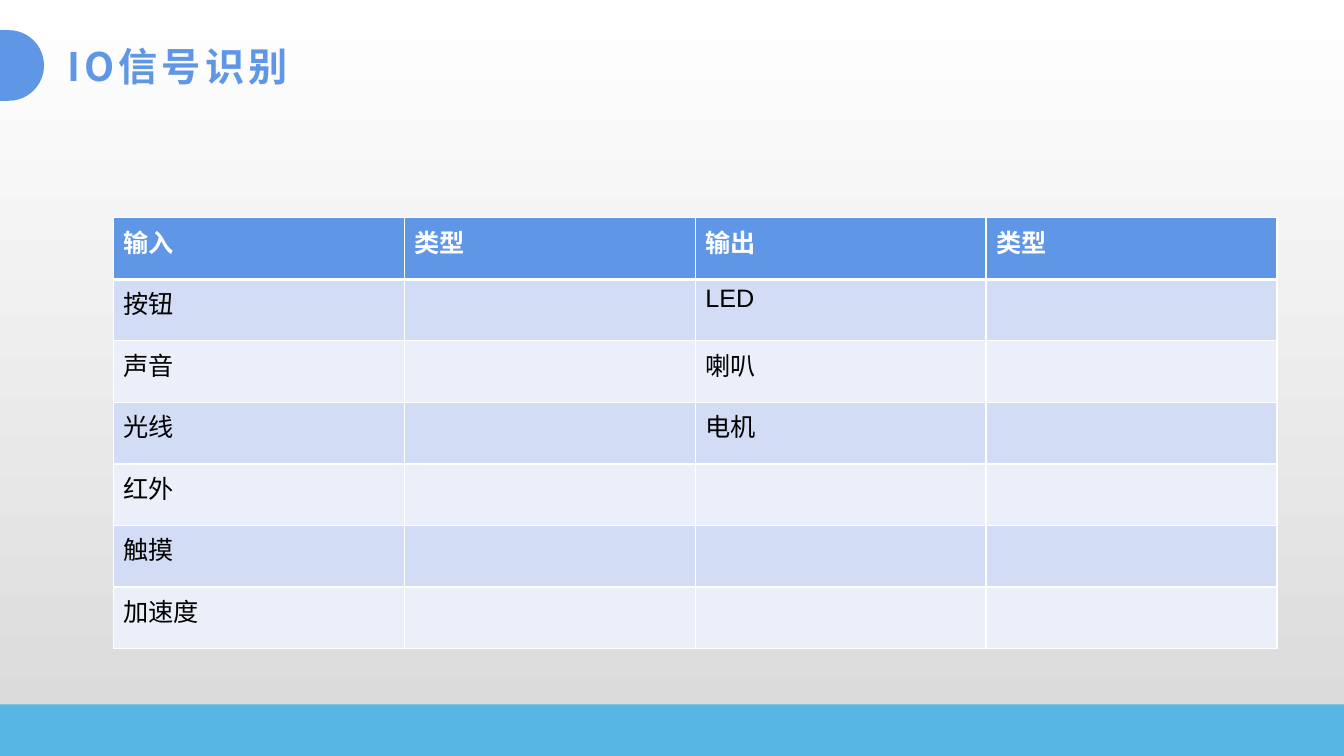
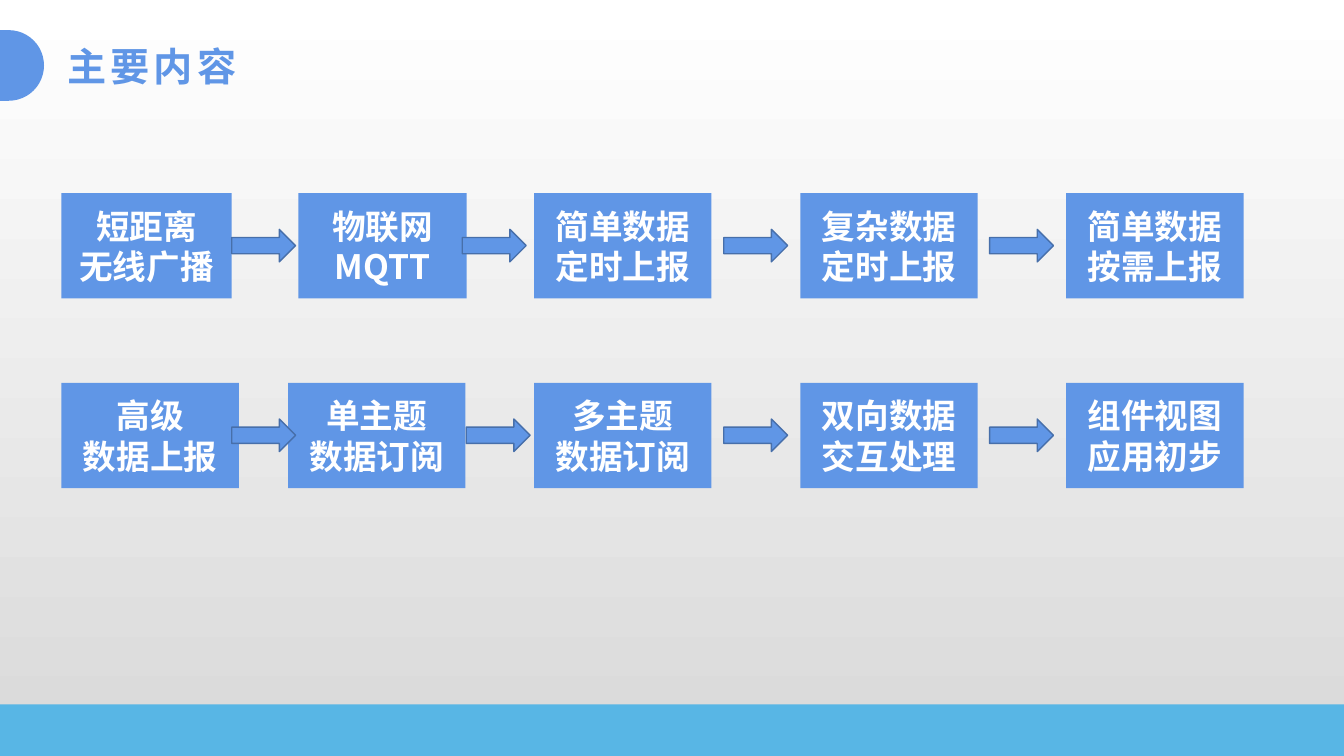
from lxml.etree import SubElement
from pptx import Presentation
from pptx.dml.color import RGBColor
from pptx.enum.shapes import MSO_SHAPE
from pptx.enum.text import MSO_ANCHOR, PP_ALIGN
from pptx.oxml import parse_xml
from pptx.oxml.ns import nsdecls, qn
from pptx.util import Cm, Pt

BLUE = RGBColor(0x60, 0x96, 0xE6)
DARK_BLUE = RGBColor(0x47, 0x6F, 0xAA)
SKY = RGBColor(0x58, 0xB6, 0xE5)
BAND = RGBColor(0xD2, 0xDD, 0xF5)
PALE_BAND = RGBColor(0xEA, 0xEF, 0xFA)
GREY = RGBColor(0xD9, 0xD9, 0xD9)
WHITE = RGBColor(0xFF, 0xFF, 0xFF)
BLACK = RGBColor(0x00, 0x00, 0x00)

SIGNALS = [
    ["输入", "类型", "输出", "类型"],
    ["按钮", "", "LED", ""],
    ["声音", "", "喇叭", ""],
    ["光线", "", "电机", ""],
    ["红外", "", "", ""],
    ["触摸", "", "", ""],
    ["加速度", "", "", ""],
]

STEP_WIDTH = 4.47
COMMON_STEPS = [(13.46, STEP_WIDTH), (20.17, STEP_WIDTH), (26.87, STEP_WIDTH)]
COMMON_ARROWS = [18.24, 24.94]
FLOWS = [
    (
        4.87,
        [(1.55, 4.29), (7.52, 4.24)] + COMMON_STEPS,
        [5.84, 11.65] + COMMON_ARROWS,
        [["短距离", "无线广播"], ["物联网", "MQTT"], ["简单数据定时上报"],
         ["复杂数据定时上报"], ["简单数据按需上报"]],
    ),
    (
        9.65,
        [(1.55, STEP_WIDTH), (7.26, STEP_WIDTH)] + COMMON_STEPS,
        [5.84, 11.75] + COMMON_ARROWS,
        [["高级", "数据上报"], ["单主题", "数据订阅"], ["多主题", "数据订阅"],
         ["双向数据", "交互处理"], ["组件视图", "应用初步"]],
    ),
]


class Slides:
    heading_font = "Noto Sans CJK SC"
    table_font = "Arial"
    width, height = 33.87, 19.05

    def __init__(self):
        self.deck = Presentation()
        self.deck.slide_width = Cm(self.width)
        self.deck.slide_height = Cm(self.height)
        self.page = None

    def new_page(self, title):
        self.page = self.deck.slides.add_slide(self.deck.slide_layouts[6])
        fill = self.page.background.fill
        fill.gradient()
        fill.gradient_angle = 270
        for stop, color in zip(fill.gradient_stops, (WHITE, GREY)):
            stop.color.rgb = color
        self.shape(MSO_SHAPE.RECTANGLE, 0, 17.75, self.width, 1.3, SKY)
        pill = self.shape(MSO_SHAPE.ROUNDED_RECTANGLE, -1.1, 0.76, 2.21, 1.78, BLUE)
        pill.adjustments[0] = 0.5
        box = self.page.shapes.add_textbox(Cm(1.44), Cm(0.76), Cm(30.75), Cm(1.78))
        box.text_frame.word_wrap = True
        box.text_frame.vertical_anchor = MSO_ANCHOR.MIDDLE
        span = self.span(box.text_frame.paragraphs[0], title, 28, BLUE)
        span.font._element.set("spc", "300")

    def shape(self, kind, left, top, width, height, color, line=None):
        shape = self.page.shapes.add_shape(kind, Cm(left), Cm(top), Cm(width), Cm(height))
        shape.shadow.inherit = False
        shape.fill.solid()
        shape.fill.fore_color.rgb = color
        if line is None:
            shape.line.fill.background()
        else:
            shape.line.color.rgb = line
            shape.line.width = Pt(1)
        return shape

    def span(self, para, text, size, color, bold=True, font=heading_font):
        span = para.add_run()
        span.text = text
        span.font.size = Pt(size)
        span.font.bold = bold
        span.font.color.rgb = color
        span.font.name = font
        SubElement(span.font._element, qn("a:ea"), typeface=self.heading_font)
        return span

    def step(self, left, top, width, lines):
        frame = self.shape(MSO_SHAPE.RECTANGLE, left, top, width, 2.65, BLUE).text_frame
        frame.word_wrap = True
        frame.vertical_anchor = MSO_ANCHOR.MIDDLE
        for index, line in enumerate(lines):
            para = frame.add_paragraph() if index else frame.paragraphs[0]
            para.alignment = PP_ALIGN.CENTER
            self.span(para, line, 24, WHITE)

    def arrow(self, left, top):
        self.shape(MSO_SHAPE.RIGHT_ARROW, left, top, 1.61, 0.82, BLUE, DARK_BLUE)

    def borders(self, cell, top, bottom):
        properties = cell._tc.get_or_add_tcPr()
        sides = (("L", 1), ("R", 1), ("T", top), ("B", bottom))
        for index, (side, points) in enumerate(sides):
            properties.insert(index, parse_xml(
                f'<a:ln{side} {nsdecls("a")} w="{Pt(points)}"><a:solidFill>'
                f'<a:srgbClr val="{WHITE}"/></a:solidFill></a:ln{side}>'))

    def table(self, rows, left, top, column_width, row_height):
        columns = len(rows[0])
        table = self.page.shapes.add_table(
            len(rows), columns, Cm(left), Cm(top),
            Cm(column_width * columns), Cm(row_height * len(rows))).table
        for column in table.columns:
            column.width = Cm(column_width)
        for y, texts in enumerate(rows):
            table.rows[y].height = Cm(row_height)
            header = y == 0
            color = BLUE if header else BAND if y % 2 else PALE_BAND
            for x, text in enumerate(texts):
                cell = table.cell(y, x)
                cell.fill.solid()
                cell.fill.fore_color.rgb = color
                self.borders(cell, 3 if y == 1 else 1, 3 if header else 1)
                if text:
                    self.span(cell.text_frame.paragraphs[0], text, 18,
                              WHITE if header else BLACK, header, self.table_font)


def main():
    slides = Slides()
    slides.new_page("IO信号识别")
    slides.table(SIGNALS, 2.86, 5.49, 7.33, 1.55)

    slides.new_page("主要内容")
    for top, steps, arrows, labels in FLOWS:
        for (left, width), lines in zip(steps, labels):
            slides.step(left, top, width, lines)
        for left in arrows:
            slides.arrow(left, top + 0.91)
    slides.deck.save("out.pptx")


if __name__ == "__main__":
    main()
